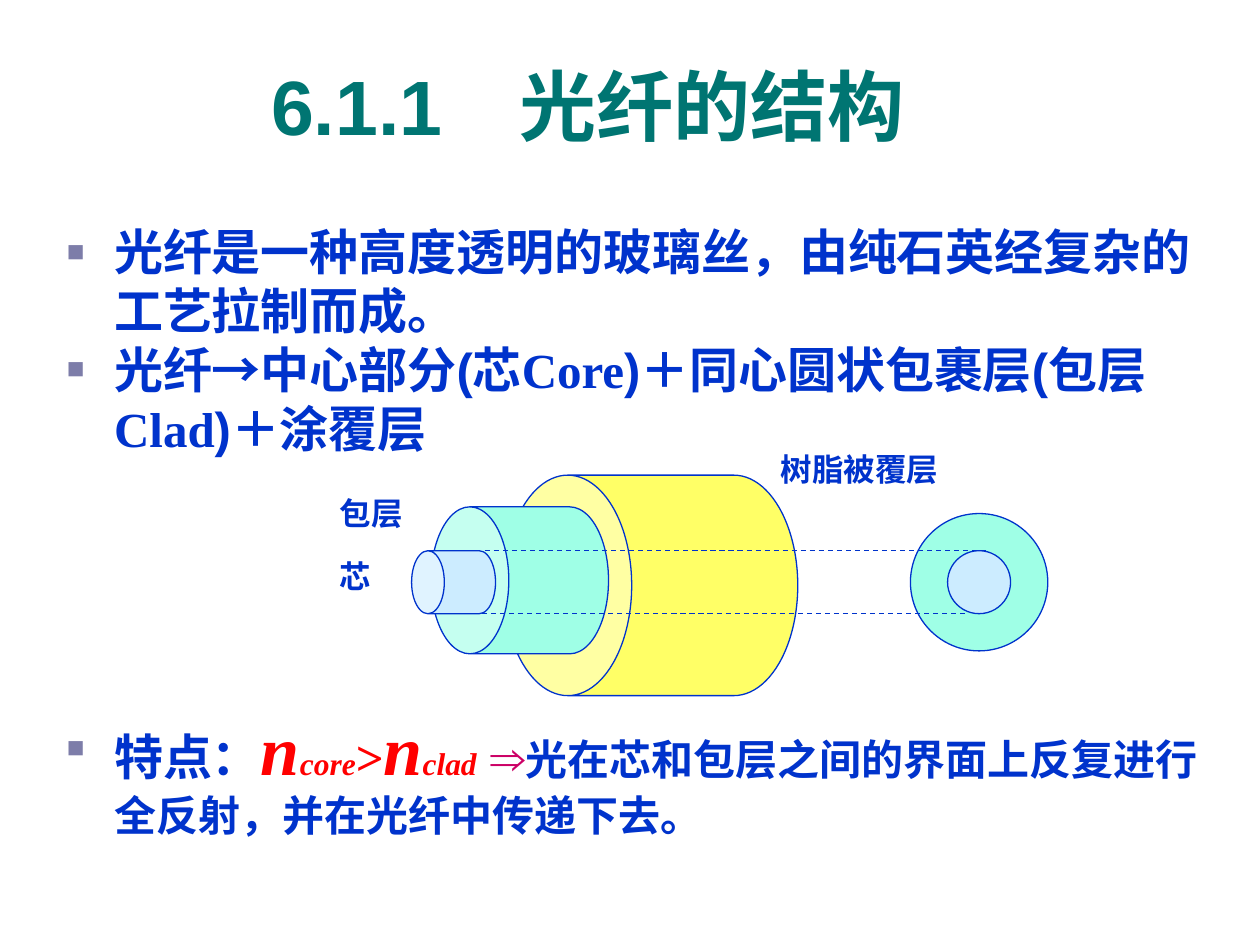
from lxml import etree
from pptx import Presentation
from pptx.dml.color import RGBColor
from pptx.enum.dml import MSO_LINE
from pptx.enum.shapes import MSO_CONNECTOR, MSO_SHAPE
from pptx.enum.text import MSO_ANCHOR, MSO_AUTO_SIZE, PP_ALIGN
from pptx.oxml.ns import qn
from pptx.util import Pt

CAN, OVAL = MSO_SHAPE.CAN, MSO_SHAPE.OVAL
STRAIGHT, DASH = MSO_CONNECTOR.STRAIGHT, MSO_LINE.DASH
TOP, BOTTOM = MSO_ANCHOR.TOP, MSO_ANCHOR.BOTTOM
CENTER, LEFT = PP_ALIGN.CENTER, PP_ALIGN.LEFT
NO_FIT = MSO_AUTO_SIZE.NONE

TEAL = RGBColor(0x00, 0x75, 0x72)
BLUE = RGBColor(0x00, 0x33, 0xCC)
RED = RGBColor(0xFF, 0x00, 0x00)
MAGENTA = RGBColor(0xCC, 0x00, 0x66)
COATING = RGBColor(0xFF, 0xFF, 0x66)
CLADDING = RGBColor(0x9F, 0xFF, 0xE6)
CORE = RGBColor(0xCC, 0xEC, 0xFF)
BULLET_COLOR = "7D7DA9"

SERIF = "Times New Roman"
BODY = {"name": "Arial", "size": Pt(28), "bold": True, "italic": False}
LATIN = BODY | {"name": SERIF}
INDEX = LATIN | {"size": Pt(40), "italic": True}
SUBSCRIPT = INDEX | {"size": Pt(18)}
CONCLUSION = BODY | {"size": Pt(24)}
HEADING = BODY | {"size": Pt(44)}
LABEL = BODY | {"name": "Lato", "size": Pt(18)}

POINTS = [
    (0, [("光纤是一种高度透明的玻璃丝，由纯石英经复杂的工艺拉制而成。", BODY, BLUE)]),
    (0, [("光纤→中心部分(芯", BODY, BLUE), ("Core", LATIN, BLUE),
         (")＋同心圆状包裹层(包层", BODY, BLUE), ("Clad", LATIN, BLUE),
         (")＋涂覆层", BODY, BLUE)]),
    (142, [("特点：", BODY, BLUE), ("n", INDEX, RED), ("core", SUBSCRIPT, RED),
           (">", LATIN, RED), ("n", INDEX, RED), ("clad", SUBSCRIPT, RED),
           (" ⇒", BODY, MAGENTA),
           ("光在芯和包层之间的界面上反复进行全反射，并在光纤中传递下去。", CONCLUSION, BLUE)]),
]


def place(box, left, top, width, height):
    bounds = {"left": left, "top": top, "width": width, "height": height}
    for name, value in bounds.items():
        setattr(box, name, Pt(value))


def set_frame(frame, anchor):
    settings = {"word_wrap": True, "auto_size": NO_FIT, "vertical_anchor": anchor}
    for name, value in settings.items():
        setattr(frame, name, value)


def add_run(paragraph, text, font_format, color):
    run = paragraph.add_run()
    run.text = text
    for name, value in font_format.items():
        setattr(run.font, name, value)
    run.font.color.rgb = color


def add_bullet(paragraph):
    properties = paragraph._p.get_or_add_pPr()
    properties.set("marL", str(Pt(27)))
    properties.set("indent", str(-Pt(27)))
    color = etree.SubElement(properties, qn("a:buClr"))
    etree.SubElement(color, qn("a:srgbClr"), val=BULLET_COLOR)
    etree.SubElement(properties, qn("a:buSzPct"), val="60000")
    etree.SubElement(properties, qn("a:buFont"), typeface="Arial")
    etree.SubElement(properties, qn("a:buChar"), char="■")


def fill_title(title):
    place(title, 90, 42, 492, 48)
    set_frame(title.text_frame, BOTTOM)
    paragraph = title.text_frame.paragraphs[0]
    paragraph.alignment = CENTER
    add_run(paragraph, "6.1.1　光纤的结构", HEADING, TEAL)


def fill_points(body):
    place(body, 31, 123, 666, 372)
    frame = body.text_frame
    set_frame(frame, TOP)
    for number, (space, runs) in enumerate(POINTS):
        paragraph = frame.add_paragraph() if number else frame.paragraphs[0]
        add_bullet(paragraph)
        paragraph.alignment = LEFT
        paragraph.space_before = Pt(space)
        for run in runs:
            add_run(paragraph, *run)


def add_solid(slide, kind, center, width, height, color):
    x, y = center
    solid = slide.shapes.add_shape(
        kind, Pt(x - width / 2), Pt(y - height / 2), Pt(width), Pt(height))
    solid.shadow.inherit = False
    solid.fill.solid()
    solid.fill.fore_color.rgb = color
    solid.line.color.rgb = BLUE
    solid.line.width = Pt(0.75)
    return solid


def add_cylinder(slide, center, diameter, length, bulge, color):
    cylinder = add_solid(slide, CAN, center, diameter, length, color)
    cylinder.rotation = 270
    cylinder.adjustments[0] = bulge


def add_projection(slide, start, end, y):
    projection = slide.shapes.add_connector(STRAIGHT, Pt(start), Pt(y), Pt(end), Pt(y))
    projection.line.color.rgb = BLUE
    projection.line.width = Pt(0.75)
    projection.line.dash_style = DASH
    etree.SubElement(projection._element.spPr, qn("a:effectLst"))


def add_label(slide, text, left, top, width):
    label = slide.shapes.add_textbox(Pt(left), Pt(top), Pt(width), Pt(36))
    set_frame(label.text_frame, TOP)
    add_run(label.text_frame.paragraphs[0], text, LABEL, BLUE)


def draw_fiber(slide):
    add_cylinder(slide, (371.9, 334.5), 126, 168, 0.58, COATING)
    add_cylinder(slide, (297, 331.6), 84, 101.5, 0.53, CLADDING)
    add_cylinder(slide, (259.2, 332.7), 36, 48, 0.52, CORE)
    for diameter, color in ((78.5, CLADDING), (36, CORE)):
        add_solid(slide, OVAL, (559.5, 332.7), diameter, diameter, color)
    for start, y in ((277, 314.7), (265, 350.7)):
        add_projection(slide, start, start + 288, y)
    add_label(slide, "芯", 187, 314.7, 66)
    add_label(slide, "包层", 187, 278.7, 66)
    add_label(slide, "树脂被覆层", 439, 253.5, 138)


def main():
    presentation = Presentation()
    presentation.slide_width, presentation.slide_height = Pt(720), Pt(540)
    slide = presentation.slides.add_slide(presentation.slide_layouts[1])
    fill_title(slide.shapes.title)
    fill_points(slide.placeholders[1])
    draw_fiber(slide)
    presentation.save("out.pptx")


if __name__ == "__main__":
    main()
